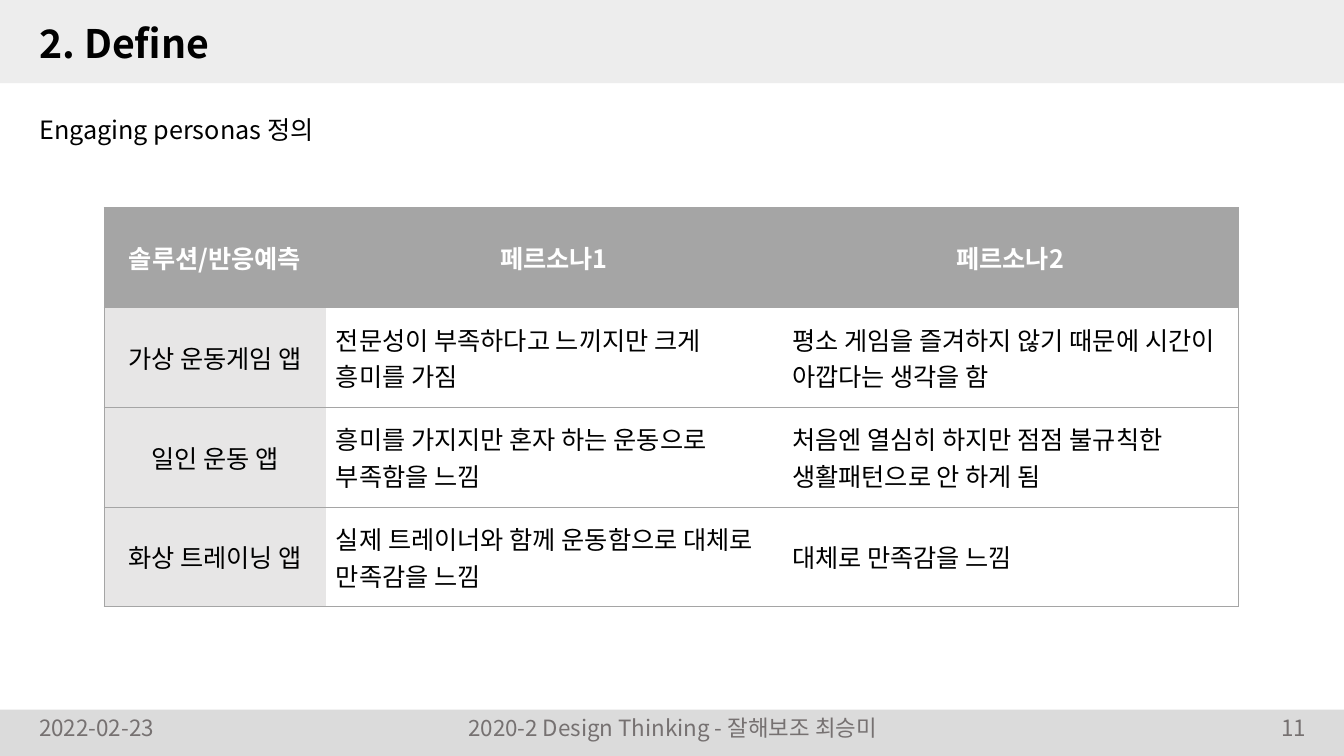
from dataclasses import dataclass

from lxml import etree
from pptx import Presentation
from pptx import util as u
from pptx.dml.color import RGBColor
from pptx.enum import shapes, text
from pptx.oxml import ns


@dataclass(frozen=True)
class Theme:
    font: str = "Noto Sans CJK KR"
    ink: str = "000000"
    white: str = "FFFFFF"
    muted: str = "767171"
    top_band: str = "EDEDED"
    bottom_band: str = "DBDBDB"
    table: str = "A5A5A5"
    solution: str = "E7E6E6"
    title_size: int = 28
    body_size: int = 18
    footer_size: int = 16
    rule: float = 0.5


THEME = Theme()
WIDTH, HEIGHT = u.Inches(13.33), u.Inches(7.5)
MARGIN = 2.18  # percent of the slide's width
COLUMN_SHARES = (2.2, 4.52, 4.52)
LEFT, CENTER, RIGHT = text.PP_ALIGN.LEFT, text.PP_ALIGN.CENTER, text.PP_ALIGN.RIGHT

PERSONA_ROWS = [
    ("솔루션/반응예측", "페르소나1", "페르소나2"),
    ("가상 운동게임 앱", "전문성이 부족하다고 느끼지만 크게 흥미를 가짐",
     "평소 게임을 즐겨하지 않기 때문에 시간이 아깝다는 생각을 함"),
    ("일인 운동 앱", "흥미를 가지지만 혼자 하는 운동으로 부족함을 느낌",
     "처음엔 열심히 하지만 점점 불규칙한 생활패턴으로 안 하게 됨"),
    ("화상 트레이닝 앱", "실제 트레이너와 함께 운동함으로 대체로 만족감을 느낌",
     "대체로 만족감을 느낌"),
]


def area(left, top, width, height):
    """Turn percentages of the slide into a position and size."""
    return (int(WIDTH * left / 100), int(HEIGHT * top / 100),
            int(WIDTH * width / 100), int(HEIGHT * height / 100))


def write(frame, words, size, color=THEME.ink, align=LEFT, bold=False):
    frame.word_wrap = True
    para = frame.paragraphs[0]
    para.text = words
    para.alignment = align
    font = para.font
    font.size, font.bold, font.name = u.Pt(size), bold, THEME.font
    font.color.rgb = RGBColor.from_string(color)
    # Korean letters take the East Asian typeface
    latin = para._p.pPr.find(ns.qn("a:defRPr")).find(ns.qn("a:latin"))
    east_asian = etree.Element(ns.qn("a:ea"), typeface=THEME.font)
    latin.addnext(east_asian)
    return para


def add_band(page, top, height, color):
    band = page.shapes.add_shape(shapes.MSO_SHAPE.RECTANGLE, *area(0, top, 100, height))
    band.shadow.inherit = False
    band.fill.solid()
    band.fill.fore_color.rgb = RGBColor.from_string(color)
    band.line.fill.background()
    page.shapes.title.element.addprevious(band.element)  # keep behind the title


def set_title(page, words):
    title = page.shapes.title
    title.left, title.top, title.width, title.height = area(MARGIN, 1.73, 86.27, 8.67)
    frame = title.text_frame
    frame.auto_size = text.MSO_AUTO_SIZE.NONE
    frame.vertical_anchor = text.MSO_ANCHOR.MIDDLE
    write(frame, words, THEME.title_size, bold=True).line_spacing = 0.9


def add_label(page, place, words, size, **style):
    box = page.shapes.add_textbox(*area(*place))
    return write(box.text_frame, words, size, **style)


def set_borders(cell, visible):
    """Draw the named sides (L, R, T, B) and hide the others."""
    properties = cell._tc.get_or_add_tcPr()
    for position, side in enumerate("LRTB"):
        line = etree.Element(ns.qn(f"a:ln{side}"), w=str(u.Pt(THEME.rule)))
        if side in visible:
            fill = etree.SubElement(line, ns.qn("a:solidFill"))
            etree.SubElement(fill, ns.qn("a:srgbClr"), val=THEME.table)
        else:
            etree.SubElement(line, ns.qn("a:noFill"))
        properties.insert(position, line)


def fill_cell(cell, words, row, column):
    header, solution = row == 0, column == 0
    cell.vertical_anchor = text.MSO_ANCHOR.MIDDLE
    if header or solution:
        cell.fill.solid()
        cell.fill.fore_color.rgb = RGBColor.from_string(
            THEME.table if header else THEME.solution)
    else:
        cell.fill.background()
    write(cell.text_frame, words, THEME.body_size,
          color=THEME.white if header else THEME.ink,
          align=CENTER if header or solution else LEFT, bold=header)
    last = column == len(COLUMN_SHARES) - 1
    set_borders(cell, "TB" + "L" * solution + "R" * last)


def add_persona_table(page, place, rows):
    left, top, width, height = area(*place)
    table = page.shapes.add_table(
        len(rows), len(COLUMN_SHARES), left, top, width, height).table
    table.horz_banding = False
    for column, share in zip(table.columns, COLUMN_SHARES):
        column.width = int(width * share / sum(COLUMN_SHARES))
    for row, entries in enumerate(rows):
        table.rows[row].height = height // len(rows)
        for column, words in enumerate(entries):
            fill_cell(table.cell(row, column), words, row, column)


def main():
    deck = Presentation()
    deck.slide_width, deck.slide_height = WIDTH, HEIGHT
    page = deck.slides.add_slide(deck.slide_layouts.get_by_name("Title Only"))

    # Bands and headings
    add_band(page, 0, 11, THEME.top_band)
    add_band(page, 93.87, 6.13, THEME.bottom_band)
    set_title(page, "2. Define")
    subtitle = add_label(page, (MARGIN, 14.53, 95.72, 8.67),
                         "Engaging personas 정의", THEME.body_size)
    subtitle.space_before = u.Pt(10)

    # Persona table
    add_persona_table(page, (7.73, 27.47, 84.4, 52.8), PERSONA_ROWS)

    # Footer
    for left, width, words, align in (
            (MARGIN, 22.5, "2022-02-23", LEFT),
            (33.16, 33.76, "2020-2 Design Thinking - 잘해보조 최승미", CENTER),
            (75.4, 22.5, "11", RIGHT)):
        add_label(page, (left, 93.8, width, 5.33), words, THEME.footer_size,
                  color=THEME.muted, align=align)

    deck.save("out.pptx")


if __name__ == "__main__":
    main()
